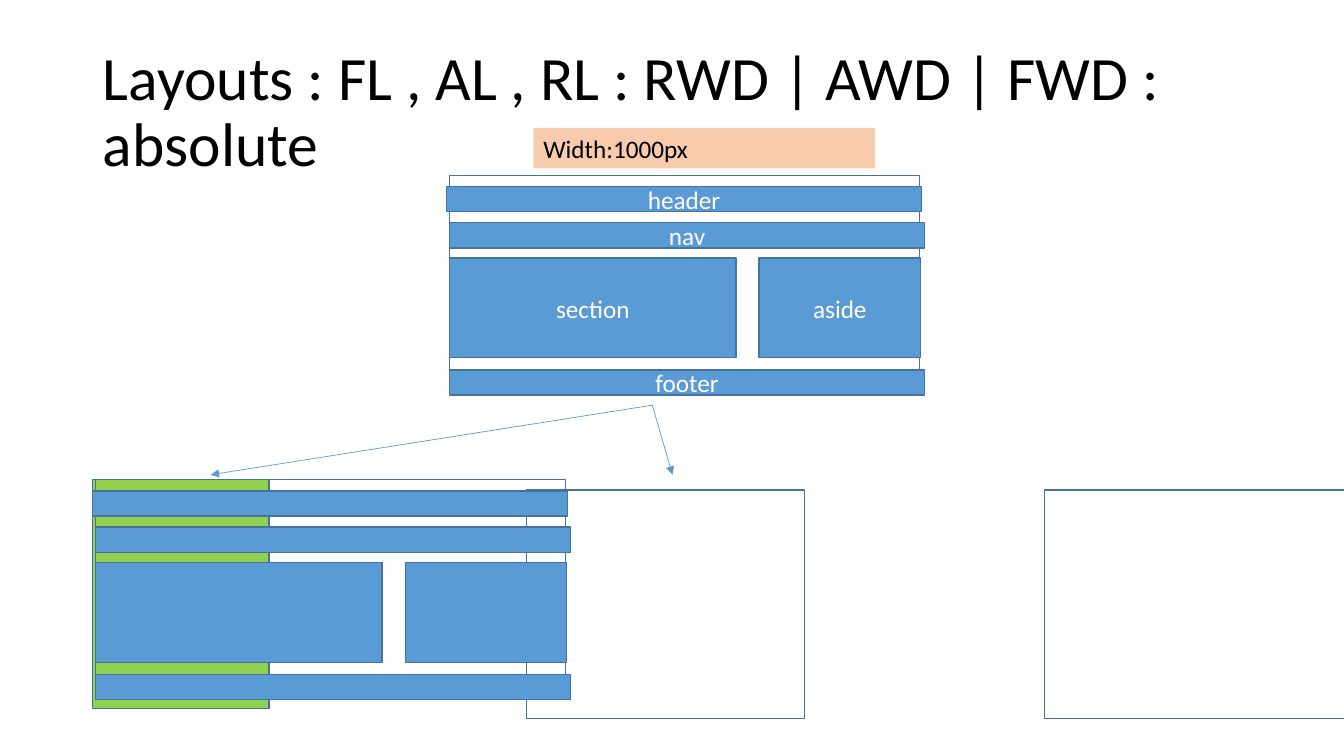
from lxml.etree import SubElement
from pptx import Presentation
from pptx.dml.color import RGBColor
from pptx.enum.shapes import MSO_CONNECTOR as LINE, MSO_SHAPE as SHAPE
from pptx.enum.text import MSO_ANCHOR as ANCHOR, MSO_AUTO_SIZE as FIT, PP_ALIGN as ALIGN
from pptx.oxml.ns import qn
from pptx.util import Inches, Pt

BLUE, EDGE, GREEN, PEACH = "5B9BD5", "43739E", "92D050", "F8CBAD"
BLACK, WHITE = "000000", "FFFFFF"

# name: left, top, width, height, measured from the page frame's corner
PARTS = {
    "header": (-0.03, 0.11, 4.71, 0.25),
    "footer": (0, 1.93, 4.71, 0.25),
    "nav": (0, 0.47, 4.71, 0.25),
    "section": (0, 0.82, 2.84, 0.99),
    "aside": (3.07, 0.82, 1.6, 0.99),
}


def rgb(code):
    return RGBColor.from_string(code)


def write(frame, text, size, color, align, **opts):
    for key, value in opts.items():
        setattr(frame, key, value)
    para = frame.paragraphs[0]
    para.alignment = align
    run = para.add_run()
    run.text = text
    for key, value in {"name": "Calibri", "size": Pt(size)}.items():
        setattr(run.font, key, value)
    run.font.color.rgb = rgb(color)
    return para


def box(shapes, left, top, width, height, fill=None, edge=EDGE):
    rect = shapes.add_shape(SHAPE.RECTANGLE, Inches(left), Inches(top),
                            Inches(width), Inches(height))
    rect.shadow.inherit = False
    if fill:
        rect.fill.solid()
        rect.fill.fore_color.rgb = rgb(fill)
    else:
        rect.fill.background()
    if edge:
        rect.line.color.rgb = rgb(edge)
        rect.line.width = Pt(1)
    else:
        rect.line.fill.background()
    return rect


def page(shapes, left, top, named=False):
    """Draw one web page layout as a group, with or without part names."""
    group = shapes.add_group_shape().shapes
    box(group, left, top, 4.66, 2.17)
    for name, (x, y, width, height) in PARTS.items():
        part = box(group, left + x, top + y, width, height, BLUE)
        if named:
            write(part.text_frame, name, 18, WHITE, ALIGN.CENTER,
                  word_wrap=True, vertical_anchor=ANCHOR.MIDDLE)


def arrow(shapes, start, end):
    link = shapes.add_connector(LINE.STRAIGHT, *map(Inches, start + end))
    link.line.color.rgb = rgb(BLUE)
    link.line.width = Pt(0.5)
    props = link.line._get_or_add_ln()
    SubElement(props, qn("a:tailEnd"), type="triangle")
    SubElement(link._element.spPr, qn("a:effectLst"))


def head(title, text):
    spot = {"left": 0.92, "top": 0.4, "width": 11.5, "height": 1.45}
    for key, value in spot.items():
        setattr(title, key, Inches(value))
    para = write(title.text_frame, text, 44, BLACK, ALIGN.LEFT, word_wrap=True,
                 auto_size=FIT.NONE, vertical_anchor=ANCHOR.MIDDLE)
    para.line_spacing = 0.9


def main():
    deck = Presentation()
    deck.slide_width, deck.slide_height = Inches(13.33), Inches(7.5)
    shapes = deck.slides.add_slide(deck.slide_layouts[5]).shapes

    head(shapes.title, "Layouts : FL , AL , RL : RWD | AWD | FWD : absolute")
    page(shapes, 4.46, 1.74, named=True)
    label = box(shapes, 5.29, 1.27, 3.39, 0.4, PEACH, edge=None)
    write(label.text_frame, "Width:1000px", 18, BLACK, ALIGN.LEFT, word_wrap=True,
          auto_size=FIT.SHAPE_TO_FIT_TEXT, vertical_anchor=ANCHOR.TOP)

    fork = (6.47, 4.02)
    arrow(shapes, fork, (2.09, 4.71))
    box(shapes, 0.92, 4.76, 1.75, 2.27, GREEN)
    arrow(shapes, fork, (6.67, 4.71))
    for left, width in ((5.22, 2.76), (10.36, 3.57)):
        box(shapes, left, 4.86, width, 2.27)
    page(shapes, 0.95, 4.76)

    deck.save("out.pptx")


if __name__ == "__main__":
    main()
